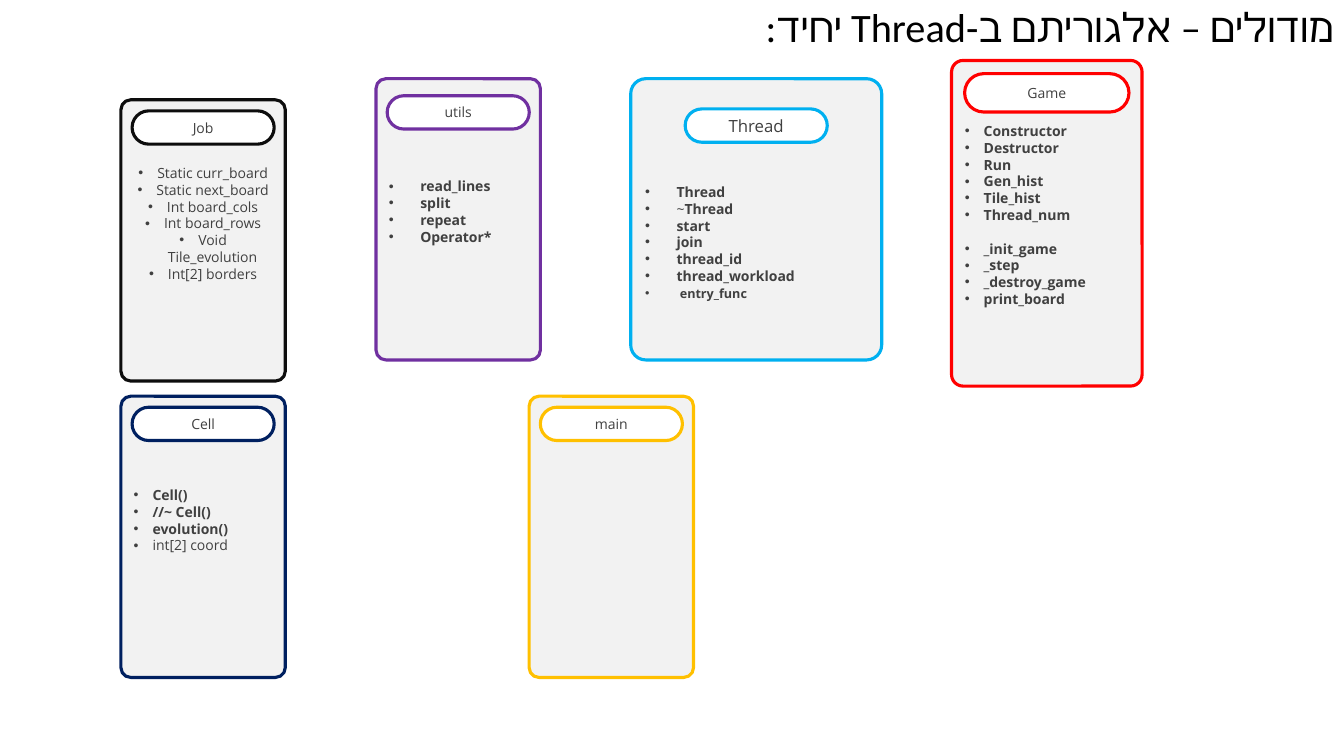
from lxml import etree
from pptx import Presentation
from pptx.dml.color import RGBColor
from pptx.enum.shapes import MSO_SHAPE
from pptx.enum.text import MSO_ANCHOR, PP_ALIGN
from pptx.oxml.ns import qn
from pptx.util import Pt

BLACK = RGBColor(0, 0, 0)
WHITE = RGBColor(255, 255, 255)
PANEL = RGBColor(0xF2, 0xF2, 0xF2)
TEXT = RGBColor(0x40, 0x40, 0x40)
RED = RGBColor(0xFF, 0, 0)
PURPLE = RGBColor(0x70, 0x30, 0xA0)
GOLD = RGBColor(0xFF, 0xC0, 0)
NAVY = RGBColor(0, 0x20, 0x60)
SKY = RGBColor(0, 0xB0, 0xF0)
INK = RGBColor(0x0D, 0x0D, 0x0D)
CORNER = 0.06
CARD = (117.4, 200.9)
PILL = (101.5, 23.8)


def add_box(group, left, top, size, corner, fill, line):
    box = group.shapes.add_shape(
        MSO_SHAPE.ROUNDED_RECTANGLE, Pt(left), Pt(top), Pt(size[0]), Pt(size[1]))
    box.adjustments[0] = corner
    box.shadow.inherit = False
    box.fill.solid()
    box.fill.fore_color.rgb = fill
    box.line.color.rgb = line
    box.line.width = Pt(2.25)
    box.text_frame.word_wrap = True
    return box


def add_run(paragraph, text, size, bold=False):
    run = paragraph.add_run()
    run.text = text
    run.font.name = "Open Sans"
    run.font.size = Pt(size)
    run.font.bold = bold
    run.font.color.rgb = TEXT


prs = Presentation()
prs.slide_width, prs.slide_height = Pt(960), Pt(540)
slide = prs.slides.add_slide(prs.slide_layouts[5])

title = slide.shapes.title
title.left, title.top, title.width, title.height = Pt(132), Pt(0), Pt(828), Pt(41.8)
title.text_frame.vertical_anchor = MSO_ANCHOR.MIDDLE
heading = title.text_frame.paragraphs[0]
heading.alignment = PP_ALIGN.RIGHT
heading.line_spacing = 0.9
heading._p.get_or_add_pPr().set("rtl", "1")
run = heading.add_run()
run.text = "מודולים – אלגוריתם ב-Thread יחיד:"
run.font.name = "Calibri"
run.font.size = Pt(28.8)
run.font.color.rgb = BLACK
etree.SubElement(run._r.get_or_add_rPr(), qn("a:cs"), typeface="Calibri")

# name, colour, left, top, card, pill, pill drop, name size, list top, indent, align, members
modules = [
    ("Game", RED, 679.7, 43.2, (136.1, 232.6), (117.4, 27.4), 9.4, 10, 87.6, 13.5, PP_ALIGN.LEFT,
     ["Constructor", "Destructor", "Run", "Gen_hist", "Tile_hist", "Thread_num",
      "_init_game", "_step", "_destroy_game", "print_board"]),
    ("utils", PURPLE, 268.6, 56.2, CARD, PILL, 12.2, 10, 127, 22.5, PP_ALIGN.JUSTIFY,
     ["read_lines", "split", "repeat", "Operator*"]),
    ("main", GOLD, 378, 283, CARD, PILL, 7.9, 10, 0, 0, PP_ALIGN.LEFT, []),
    ("Cell", NAVY, 86.4, 283, CARD, PILL, 7.9, 10, 347.6, 13.5, PP_ALIGN.LEFT,
     ["Cell()", "//~ Cell()", "evolution()", "int[2] coord|"]),
    ("Thread", SKY, 450.5, 56.2, (179.3, 200.9), PILL, 21.6, 12, 131, 22.5, PP_ALIGN.JUSTIFY,
     ["Thread", "~|Thread", "start", "join", "thread_id", "thread_workload", " entry_func"]),
    ("Job", INK, 86.4, 71.3, CARD, PILL, 7.9, 10, 117.6, 13.5, PP_ALIGN.CENTER,
     ["Static curr_board|", "Static next_board|", "Int board_cols|", "Int board_rows|",
      "Void Tile_evolution|", "Int[2] borders|"]),
]

for (name, colour, left, top, card_size, pill_size, drop, name_size,
     list_top, indent, align, members) in modules:
    group = slide.shapes.add_group_shape()
    card = add_box(group, left, top, card_size, CORNER, PANEL, colour)
    pill_left = left + (card_size[0] - pill_size[0]) / 2
    pill = add_box(group, pill_left, top + drop, pill_size, 0.5, WHITE, colour)
    pill.text_frame.vertical_anchor = MSO_ANCHOR.MIDDLE
    label = pill.text_frame.paragraphs[0]
    label.alignment = PP_ALIGN.CENTER
    add_run(label, name, name_size)

    frame = card.text_frame
    frame.vertical_anchor = MSO_ANCHOR.TOP
    if members:
        frame.margin_top = Pt(list_top - top - 0.29 * CORNER * card_size[0])
    for i, member in enumerate(members):
        paragraph = frame.add_paragraph() if i else frame.paragraphs[0]
        paragraph.alignment = align
        paragraph.line_spacing = Pt(12)
        if member == "_init_game":
            paragraph.space_before = Pt(12)
        pPr = paragraph._p.get_or_add_pPr()
        pPr.set("marL", str(Pt(indent)))
        pPr.set("indent", str(-Pt(indent)))
        etree.SubElement(pPr, qn("a:buFont"), typeface="Arial")
        etree.SubElement(pPr, qn("a:buChar"), char="•")
        plain, _, strong = member.rpartition("|")
        size = 9 if member == " entry_func" else 10
        for text, bold in ((plain, False), (strong, True)):
            if text:
                add_run(paragraph, text, size, bold)

prs.save("out.pptx")
